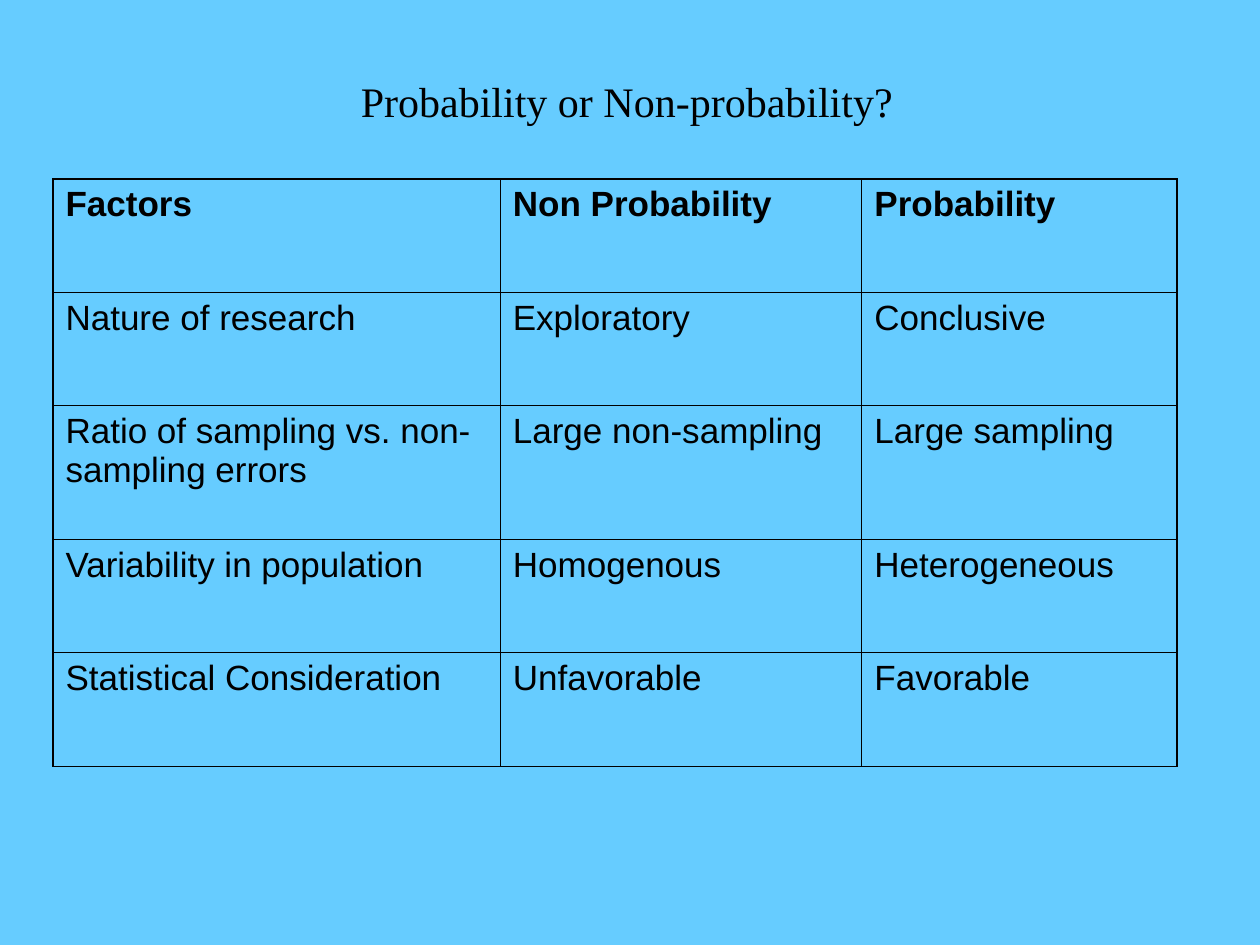
"""Build a slide comparing probability and non-probability sampling."""
from dataclasses import dataclass

from lxml.etree import SubElement
from pptx import Presentation
from pptx.dml.color import RGBColor
from pptx.enum.text import MSO_AUTO_SIZE, PP_ALIGN
from pptx.oxml.ns import qn
from pptx.util import Inches, Pt

SKY = RGBColor(0x66, 0xCC, 0xFF)
BLACK = RGBColor(0, 0, 0)
THIN = Pt(0.45)
THICK = Pt(1.08)
COLUMN_WIDTHS = (3.55, 2.87, 2.5)


@dataclass(frozen=True)
class FactorRow:
    factor: str
    non_probability: str
    probability: str
    height: float = 0.9
    bold: bool = False

    def texts(self) -> tuple[str, str, str]:
        return self.factor, self.non_probability, self.probability


ROWS = (
    FactorRow("Factors", "Non Probability", "Probability", bold=True),
    FactorRow("Nature of research", "Exploratory", "Conclusive"),
    FactorRow("Ratio of sampling vs. non-sampling errors", "Large non-sampling",
              "Large sampling", height=1.06),
    FactorRow("Variability in population", "Homogenous", "Heterogeneous"),
    FactorRow("Statistical Consideration", "Unfavorable", "Favorable"),
)


def write_text(frame, text: str, font_name: str, size: float, bold: bool = False):
    frame.text = text
    para = frame.paragraphs[0]
    font = para.runs[0].font
    font.name, font.size, font.bold = font_name, Pt(size), bold
    font.color.rgb = BLACK
    return para


def add_title(page, text: str) -> None:
    box = page.shapes.add_textbox(Inches(1.95), Inches(0.55), Inches(6.05), Inches(0.5))
    box.text_frame.word_wrap = True
    box.text_frame.auto_size = MSO_AUTO_SIZE.SHAPE_TO_FIT_TEXT
    para = write_text(box.text_frame, text, "Times New Roman", 24)
    para.alignment = PP_ALIGN.CENTER


def set_borders(cell, widths: dict[str, int]) -> None:
    properties = cell._tc.get_or_add_tcPr()
    for side, width in widths.items():
        line = SubElement(properties, qn(f"a:{side}"), w=str(int(width)))
        fill = SubElement(line, qn("a:solidFill"))
        SubElement(fill, qn("a:srgbClr"), val=str(BLACK))


def add_factor_table(page, rows: tuple[FactorRow, ...]) -> None:
    last_column = len(COLUMN_WIDTHS) - 1
    table = page.shapes.add_table(
        len(rows), len(COLUMN_WIDTHS), Inches(0.42), Inches(1.42),
        Inches(sum(COLUMN_WIDTHS)), Inches(sum(row.height for row in rows))).table
    table.first_row = table.horz_banding = False
    for column, width in zip(table.columns, COLUMN_WIDTHS):
        column.width = Inches(width)
    for row_index, row in enumerate(rows):
        table.rows[row_index].height = Inches(row.height)
        for column_index, text in enumerate(row.texts()):
            cell = table.cell(row_index, column_index)
            para = write_text(cell.text_frame, text, "Arial", 20, row.bold)
            para.space_before = Pt(5)
            set_borders(cell, {
                "lnL": THICK if column_index == 0 else THIN,
                "lnR": THICK if column_index == last_column else THIN,
                "lnT": THICK if row_index == 0 else THIN,
                "lnB": THIN,
            })
            cell.fill.background()


def main() -> None:
    deck = Presentation()
    deck.slide_width, deck.slide_height = Inches(10), Inches(7.5)
    page = deck.slides.add_slide(deck.slide_layouts[6])
    page.background.fill.solid()
    page.background.fill.fore_color.rgb = SKY
    add_title(page, "Probability or Non-probability?")
    add_factor_table(page, ROWS)
    deck.save("out.pptx")


if __name__ == "__main__":
    main()
